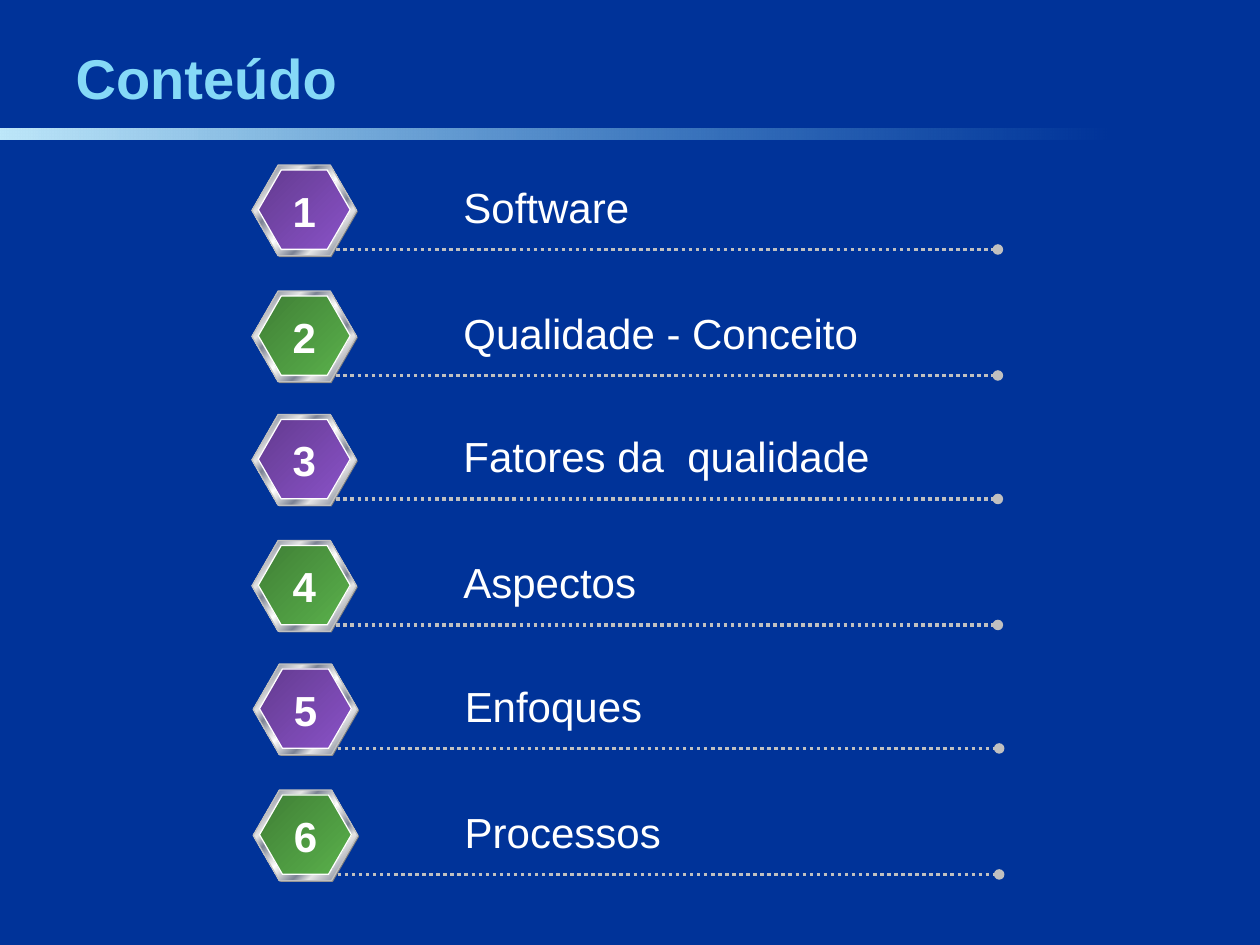
from lxml.etree import SubElement
from pptx import Presentation
from pptx.dml.color import RGBColor
from pptx.enum.dml import MSO_LINE
from pptx.enum.shapes import MSO_CONNECTOR, MSO_SHAPE
from pptx.enum.text import MSO_ANCHOR, MSO_AUTO_SIZE, PP_ALIGN
from pptx.oxml import parse_xml
from pptx.oxml.ns import nsdecls, qn
from pptx.util import Inches, Pt

COLORS = {
    "background": "003399", "title": "85D9F7", "bar": "BEE8FA",
    "text": "FFFFFF", "silver": "C0C0C0", "backing": "808080",
}
METAL = [(0, "E6E6E6"), (8, "7D8496"), (26, "E6E6E6"), (34, "7D8496"),
         (46, "E6E6E6"), (50, "FFFFFF"), (54, "E6E6E6"), (66, "7D8496"),
         (74, "E6E6E6"), (92, "7D8496"), (100, "E6E6E6")]
PURPLE = [(0, "633B8F"), (100, "8A52C8")]
GREEN = [(0, "407F36"), (100, "5AB14B")]
TOPICS = ["Software", "Qualidade - Conceito", "Fatores da  qualidade",
          "Aspectos", "Enfoques", "Processos"]
LABEL_WIDTHS = [1.52, 3.34, 3.43, 1.57, 1.61, 1.76]


def set_gradient(shape, stops, angle):
    """Fill with (position, color[, opacity]) stops at an angle in degrees."""
    gradient = parse_xml(f'<a:gradFill {nsdecls("a")} rotWithShape="1"><a:gsLst/>'
                         f'<a:lin ang="{angle * 60000}" scaled="0"/></a:gradFill>')
    for position, color, *opacity in stops:
        stop = SubElement(gradient[0], qn("a:gs"), pos=str(position * 1000))
        value = SubElement(stop, qn("a:srgbClr"), val=color)
        if opacity:
            SubElement(value, qn("a:alpha"), val=str(opacity[0] * 1000))
    shape._element.spPr.find(qn("a:prstGeom")).addnext(gradient)


def write_text(frame, text, size=24, color="text", bold=False,
               align=PP_ALIGN.LEFT, shadow=True):
    paragraph = frame.paragraphs[0]
    paragraph.alignment = align
    run = paragraph.add_run()
    run.text = text
    run.font.size = Pt(size)
    run.font.bold = bold
    run.font.color.rgb = RGBColor.from_string(COLORS[color])
    if shadow:
        run.font.fill._xPr.find(qn("a:solidFill")).addnext(parse_xml(
            f'<a:effectLst {nsdecls("a")}><a:outerShdw dist="38100" dir="2700000">'
            '<a:srgbClr val="000000"/></a:outerShdw></a:effectLst>'))
    run.font.name = "Arial"


presentation = Presentation()
presentation.slide_width = Inches(10)
presentation.slide_height = Inches(7.5)
slide = presentation.slides.add_slide(presentation.slide_layouts[5])
slide.background.fill.solid()
slide.background.fill.fore_color.rgb = RGBColor.from_string(COLORS["background"])

title = slide.shapes.title
title.left, title.top = Inches(0.5), Inches(0.3)
title.width, title.height = Inches(8.17), Inches(0.62)
title.text_frame.vertical_anchor = MSO_ANCHOR.MIDDLE
title.text_frame.auto_size = MSO_AUTO_SIZE.NONE
write_text(title.text_frame, "Conteúdo", size=32, color="title", bold=True)

bar = slide.shapes.add_shape(MSO_SHAPE.RECTANGLE, 0, Inches(1.02),
                             Inches(8.83), Inches(0.1))
bar.height = Inches(0.09)
bar.shadow.inherit = False
bar.line.fill.background()
set_gradient(bar, [(0, COLORS["bar"]), (100, COLORS["title"], 0)], 0)

for index, (topic, label_width) in enumerate(zip(TOPICS, LABEL_WIDTHS)):
    left = 2 + 0.01 * (index // 4)
    top = 1.31 + index - 0.02 * (index // 2)
    row = slide.shapes.add_group_shape().shapes

    hexagons = [
        (0.01, 0.01, 0.83, 0.72, None, None),
        (0, 0, 0.83, 0.72, METAL, "silver"),
        (0.05, 0.04, 0.73, 0.63, GREEN if index % 2 else PURPLE, "text"),
    ]
    for dx, dy, width, height, stops, outline in hexagons:
        hexagon = row.add_shape(MSO_SHAPE.HEXAGON, Inches(left + dx), Inches(top + dy),
                                Inches(width), Inches(height))
        hexagon.adjustments[0] = 0.289
        hexagon.shadow.inherit = False
        if stops:
            set_gradient(hexagon, stops, 45)
            hexagon.line.color.rgb = RGBColor.from_string(COLORS[outline])
            hexagon.line.width = Pt(0.75)
        else:
            hexagon.fill.solid()
            hexagon.fill.fore_color.rgb = RGBColor.from_string(COLORS["backing"])
            hexagon.line.fill.background()

    rule_y = Inches(top + 0.67)
    rule = row.add_connector(MSO_CONNECTOR.STRAIGHT, Inches(left + 0.67), rule_y,
                             Inches(left + 5.92), rule_y)
    rule.line.color.rgb = RGBColor.from_string(COLORS["silver"])
    rule.line.width = Pt(2)
    rule.line.dash_style = MSO_LINE.ROUND_DOT
    SubElement(rule.line._get_or_add_ln(), qn("a:tailEnd"), type="oval")
    SubElement(rule._element.spPr, qn("a:effectLst"))

    texts = [
        (1.58, 0.08, label_width, topic, {}),
        (0.22, 0.11, 0.39, str(index + 1),
         {"bold": True, "align": PP_ALIGN.CENTER, "shadow": False}),
    ]
    for dx, dy, width, text, text_format in texts:
        box = row.add_textbox(Inches(left + dx), Inches(top + dy),
                              Inches(width), Inches(0.5))
        box.text_frame.word_wrap = False
        box.text_frame.auto_size = MSO_AUTO_SIZE.SHAPE_TO_FIT_TEXT
        write_text(box.text_frame, text, **text_format)

presentation.save("out.pptx")
